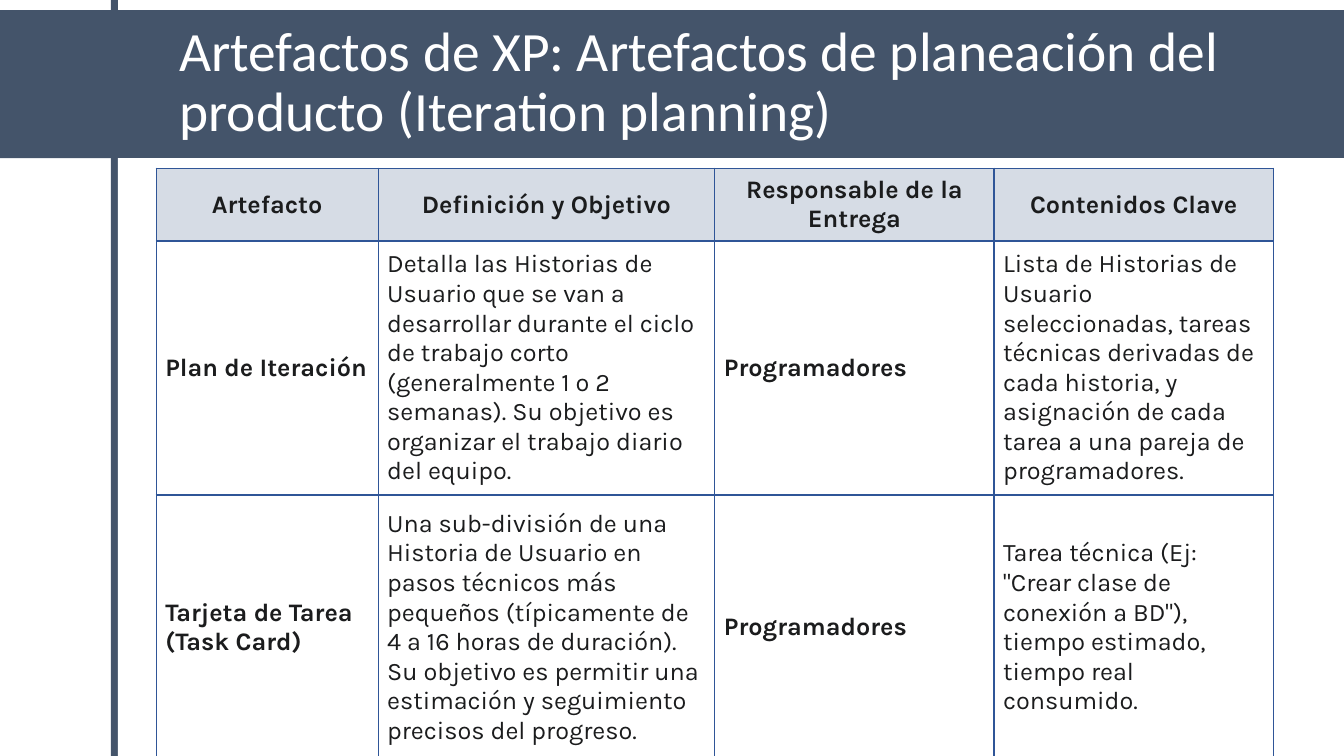
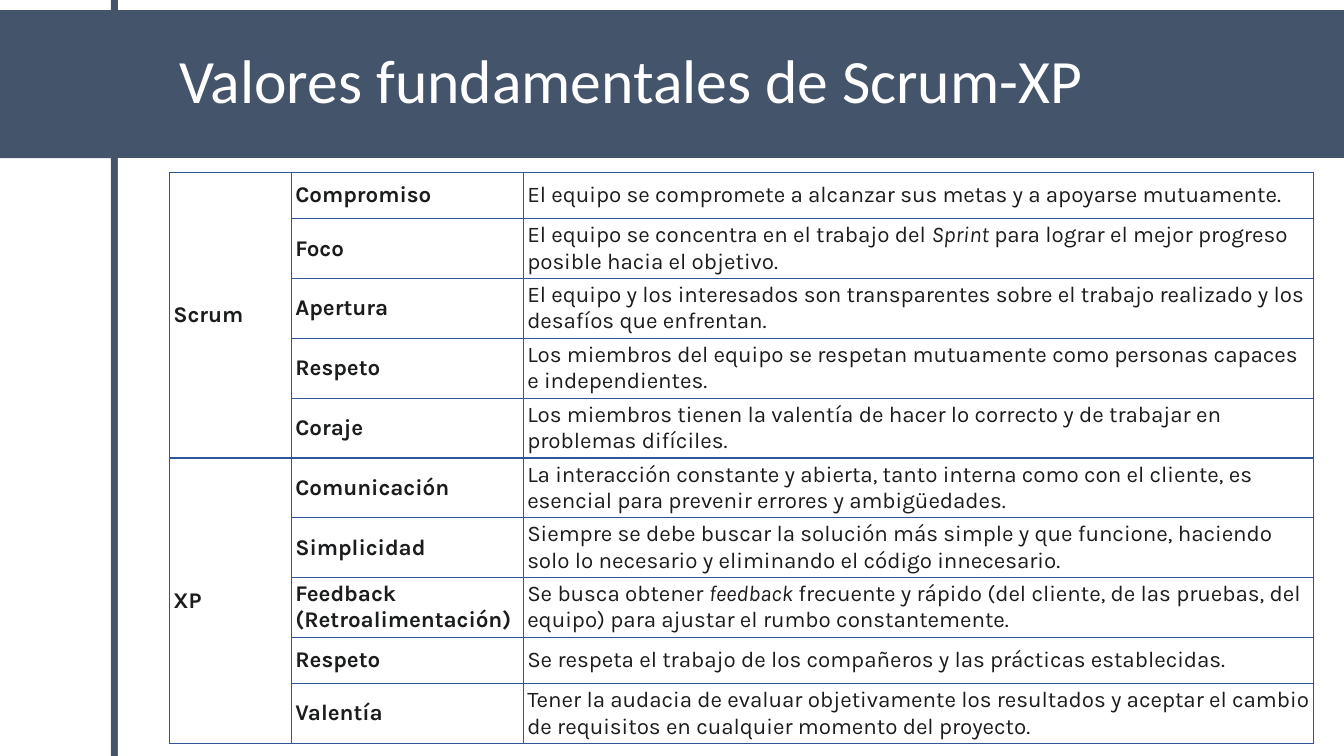
from lxml.etree import SubElement
from pptx import Presentation
from pptx.dml.color import RGBColor
from pptx.enum.shapes import MSO_SHAPE as Shape
from pptx.enum.text import MSO_ANCHOR as Anchor, PP_ALIGN as Align
from pptx.oxml.ns import qn
from pptx.util import Inches, Pt

SLATE, WHITE, INK = "44546A", "FFFFFF", "1B1C1D"
HEADER_FILL, BORDER = "D6DCE5", "2F5597"
TITLE_FONT, BODY_FONT = "Calibri", "Karla"

ARTEFACTS = [
    ["Artefacto", "Definición y Objetivo", "Responsable de la Entrega", "Contenidos Clave"],
    ["Plan de Iteración",
     "Detalla las Historias de Usuario que se van a desarrollar durante el ciclo de trabajo corto "
     "(generalmente 1 o 2 semanas). Su objetivo es organizar el trabajo diario del equipo.",
     "Programadores",
     "Lista de Historias de Usuario seleccionadas, tareas técnicas derivadas de cada historia, "
     "y asignación de cada tarea a una pareja de programadores."],
    ["Tarjeta de Tarea (Task Card)",
     "Una sub-división de una Historia de Usuario en pasos técnicos más pequeños (típicamente de "
     "4 a 16 horas de duración). Su objetivo es permitir una estimación y seguimiento precisos "
     "del progreso.",
     "Programadores",
     "Tarea técnica (Ej: \"Crear clase de conexión a BD\"), tiempo estimado, tiempo real consumido."],
]

VALUES = {
    "Scrum": [
        ("Compromiso", "El equipo se compromete a alcanzar sus metas y a apoyarse mutuamente."),
        ("Foco", "El equipo se concentra en el trabajo del *Sprint* para lograr el mejor progreso "
                 "posible hacia el objetivo."),
        ("Apertura", "El equipo y los interesados son transparentes sobre el trabajo realizado "
                     "y los desafíos que enfrentan."),
        ("Respeto", "Los miembros del equipo se respetan mutuamente como personas capaces "
                    "e independientes."),
        ("Coraje", "Los miembros tienen la valentía de hacer lo correcto y de trabajar en "
                   "problemas difíciles."),
    ],
    "XP": [
        ("Comunicación", "La interacción constante y abierta, tanto interna como con el cliente, "
                         "es esencial para prevenir errores y ambigüedades."),
        ("Simplicidad", "Siempre se debe buscar la solución más simple y que funcione, haciendo "
                        "solo lo necesario y eliminando el código innecesario."),
        ("Feedback (Retroalimentación)",
         "Se busca obtener *feedback* frecuente y rápido (del cliente, de las pruebas, del equipo) "
         "para ajustar el rumbo constantemente."),
        ("Respeto", "Se respeta el trabajo de los compañeros y las prácticas establecidas."),
        ("Valentía", "Tener la audacia de evaluar objetivamente los resultados y aceptar el cambio "
                     "de requisitos en cualquier momento del proyecto."),
    ],
}


def color(value):
    return RGBColor.from_string(value)


class Deck:
    """Holds the shared style and the slide being built."""

    def __init__(self):
        self.file = Presentation()
        self.file.slide_width, self.file.slide_height = Inches(13.33), Inches(7.5)
        self.page = None

    def add_page(self, title, size):
        self.page = self.file.slides.add_slide(self.file.slide_layouts[6])
        self.add_block(0, 0.1, 13.33, 1.47, SLATE)
        self.add_block(1.1, 0, 0.07, 7.5, SLATE)
        self.add_block(1.17, 1.57, 12.16, 5.93, WHITE)
        self.add_title(title, size)

    def add_block(self, left, top, width, height, fill):
        block = self.page.shapes.add_shape(
            Shape.RECTANGLE, Inches(left), Inches(top), Inches(width), Inches(height))
        block.shadow.inherit = False
        block.fill.solid()
        block.fill.fore_color.rgb = color(fill)
        block.line.fill.background()

    def add_title(self, text, size):
        box = self.page.shapes.add_textbox(Inches(1.68), Inches(0.26), Inches(10.95), Inches(1.13))
        frame = box.text_frame
        frame.word_wrap = True
        frame.vertical_anchor = Anchor.MIDDLE
        para = frame.paragraphs[0]
        para.line_spacing = 0.9
        self.add_spans(para, text, TITLE_FONT, size, WHITE)

    def add_spans(self, para, text, face, size, ink, bold=False):
        for index, part in enumerate(text.split("*")):
            span = para.add_run()
            span.text = part
            if index % 2:
                span.font.italic = True
        font = para.font
        font.name, font.size, font.bold = face, Pt(size), bold
        font.color.rgb = color(ink)

    def add_table(self, left, top, widths, heights):
        frame = self.page.shapes.add_table(
            len(heights), len(widths), Inches(left), Inches(top),
            Inches(sum(widths)), Inches(sum(heights)))
        table = frame.table
        table.first_row = table.horz_banding = False
        for column, width in zip(table.columns, widths):
            column.width = Inches(width)
        for row, height in zip(table.rows, heights):
            row.height = Inches(height)
        for cell in table.iter_cells():
            self.add_borders(cell)
            cell.fill.background()
        return table

    def add_borders(self, cell):
        properties = cell._tc.get_or_add_tcPr()
        for side in ("a:lnL", "a:lnR", "a:lnT", "a:lnB"):
            line = SubElement(properties, qn(side), w=str(Pt(1)))
            fill = SubElement(line, qn("a:solidFill"))
            SubElement(fill, qn("a:srgbClr"), val=BORDER)

    def fill_cell(self, cell, text, size, insets, bold=False, header=False):
        cell.vertical_anchor = Anchor.MIDDLE
        cell.margin_left = cell.margin_right = Inches(insets[0])
        cell.margin_top = cell.margin_bottom = Inches(insets[1])
        para = cell.text_frame.paragraphs[0]
        if header:
            para.alignment = Align.CENTER
            cell.fill.solid()
            cell.fill.fore_color.rgb = color(HEADER_FILL)
        self.add_spans(para, text, BODY_FONT, size, INK, bold)


def add_artefacts(deck):
    deck.add_page("Artefactos de XP: Artefactos de planeación del producto (Iteration planning)", 39.6)
    table = deck.add_table(1.55, 1.67, [2.2, 3.34, 2.77, 2.77], [0.68, 2.35, 2.63])
    for row, texts in enumerate(ARTEFACTS):
        for column, text in enumerate(texts):
            header = row == 0
            deck.fill_cell(table.cell(row, column), text, 18, (0.09, 0.06),
                           header or column % 2 == 0, header)


def add_values(deck):
    deck.add_page("Valores fundamentales de Scrum-XP", 44)
    entries = [entry for group in VALUES.values() for entry in group]
    heights = [0.46 if len(text) < 75 else 0.59 for _, text in entries]
    table = deck.add_table(1.68, 1.71, [1.21, 2.3, 7.84], heights)
    size, insets = 16, (0.04, 0.03)
    for row, (name, text) in enumerate(entries):
        deck.fill_cell(table.cell(row, 1), name, size, insets, bold=True)
        deck.fill_cell(table.cell(row, 2), text, size, insets)
    first = 0
    for method, group in VALUES.items():
        cell = table.cell(first, 0)
        cell.merge(table.cell(first + len(group) - 1, 0))
        deck.fill_cell(cell, method, size, insets, bold=True)
        first += len(group)


def main():
    deck = Deck()
    add_artefacts(deck)
    add_values(deck)
    deck.file.save("out.pptx")


if __name__ == "__main__":
    main()
